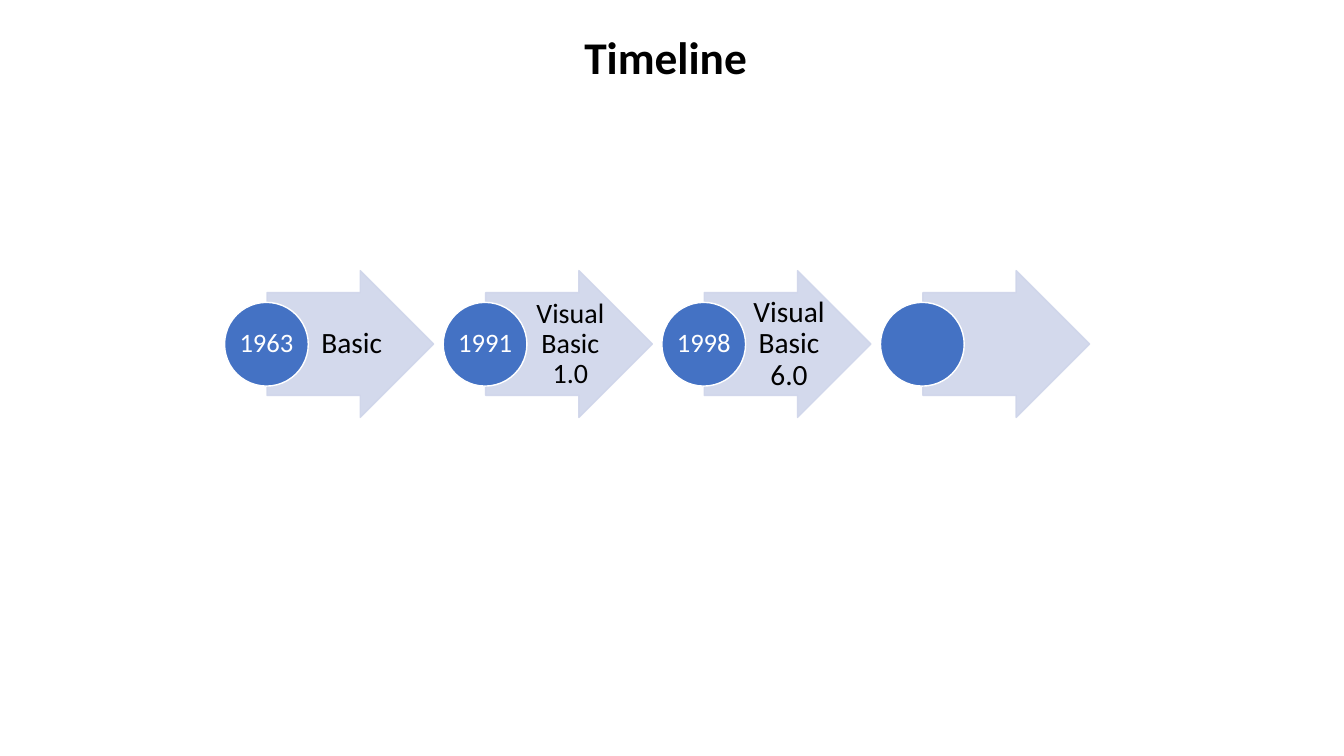
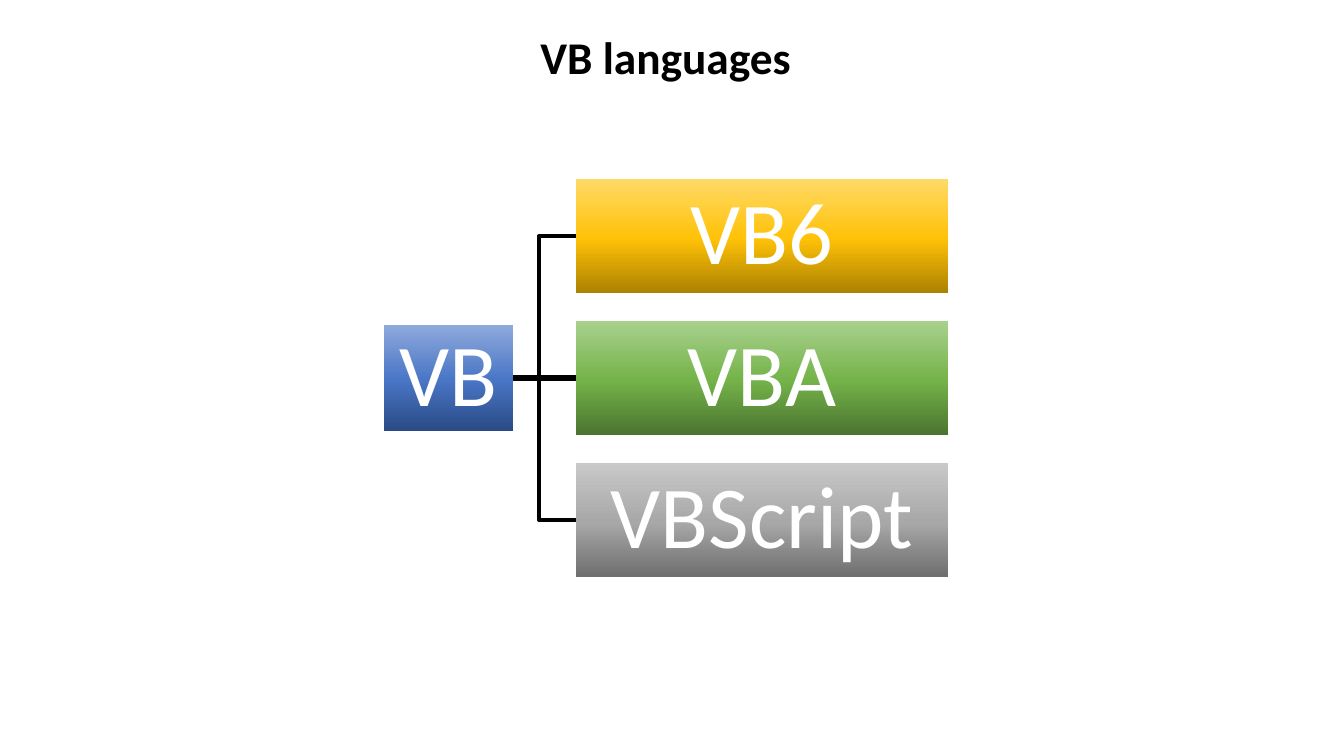
from copy import deepcopy
from dataclasses import dataclass

from lxml import etree
from pptx import Presentation
from pptx import util as u
from pptx.dml.color import RGBColor
from pptx.enum import shapes, text
from pptx.oxml.ns import qn

BLACK = RGBColor(0x00, 0x00, 0x00)
WHITE = RGBColor(0xFF, 0xFF, 0xFF)
YEAR_BLUE = RGBColor(0x44, 0x72, 0xC4)
ARROW_LAVENDER = RGBColor(0xCF, 0xD5, 0xEA)

# Gradients run from the dark bottom edge to the light top edge.
BLUE = (RGBColor(0x2A, 0x4B, 0x86), RGBColor(0x4A, 0x76, 0xC6), RGBColor(0x8F, 0xAA, 0xDC))
GOLD = (RGBColor(0xAB, 0x81, 0x00), RGBColor(0xFF, 0xC2, 0x08), RGBColor(0xFF, 0xD9, 0x66))
GREEN = (RGBColor(0x4B, 0x74, 0x30), RGBColor(0x74, 0xB3, 0x49), RGBColor(0xA9, 0xD1, 0x8E))
GRAY = (RGBColor(0x6F, 0x6F, 0x6F), RGBColor(0xA8, 0xA8, 0xA8), RGBColor(0xC9, 0xC9, 0xC9))
GRADIENT_POSITIONS = (0, 0.48, 1)

FONT = "Calibri"
TITLE_ONLY = 5
TITLE_BOX = {"left": u.Cm(2.17), "top": u.Cm(0.77), "width": u.Cm(29.21), "height": u.Cm(1.47)}
FRAME_FORMAT = {
    "word_wrap": True,
    "auto_size": text.MSO_AUTO_SIZE.NONE,
    "vertical_anchor": text.MSO_ANCHOR.MIDDLE,
}
PARAGRAPH_FORMAT = {"alignment": text.PP_ALIGN.CENTER, "line_spacing": 0.9}
MARGINS = ("margin_left", "margin_top", "margin_right", "margin_bottom")


@dataclass(frozen=True)
class Box:
    """Place and size in centimetres."""
    left: float
    top: float
    width: float
    height: float

    @property
    def lengths(self) -> tuple:
        return tuple(u.Cm(n) for n in (self.left, self.top, self.width, self.height))

    @property
    def middle(self) -> float:
        return self.top + self.height / 2


@dataclass(frozen=True)
class Milestone:
    year: str = ""
    version: str = ""
    version_size: float = 21


@dataclass(frozen=True)
class Language:
    name: str
    gradient: tuple
    line_width: float = 3


MILESTONES = (
    Milestone("1963", "Basic"),
    Milestone("1991", "Visual Basic 1.0", 20),
    Milestone("1998", "Visual Basic 6.0"),
    Milestone(),
)
MILESTONE_LEFT, MILESTONE_PITCH = 5.66, 5.51
ARROW_OFFSET, VERSION_OFFSET = 1.07, 2.14
VERSION_INSETS = (0.15, 0.03, 0.08, 0.03)
YEAR_INSETS = (0.03,) * 4

ROOT = Language("VB", BLUE)
BRANCHES = (
    Language("VB6", GOLD),
    Language("VBA", GREEN, 4.5),
    Language("VBScript", GRAY),
)
ROOT_BOX = Box(9.68, 8.18, 3.25, 2.67)
BRANCH_LEFT, BRANCH_TOP, BRANCH_PITCH = 14.52, 4.52, 3.57
FORK_LEFT, FORK_MIDDLE = 12.65, 9.52
LANGUAGE_INSETS = (0.1,) * 4


def apply_format(target, values: dict) -> None:
    for attribute, value in values.items():
        setattr(target, attribute, value)


def write(frame, wording: str, size: float, color: RGBColor, bold: bool = False) -> None:
    apply_format(frame, FRAME_FORMAT)
    paragraph = frame.paragraphs[0]
    apply_format(paragraph, PARAGRAPH_FORMAT)
    run = paragraph.add_run()
    run.text = wording
    apply_format(run.font, {"name": FONT, "size": u.Pt(size), "bold": bold})
    run.font.color.rgb = color


def write_inset(frame, insets: tuple, wording: str, size: float, color: RGBColor) -> None:
    apply_format(frame, dict(zip(MARGINS, map(u.Cm, insets))))
    write(frame, wording, size, color)


def add_titled_slide(deck, title: str):
    slide = deck.slides.add_slide(deck.slide_layouts[TITLE_ONLY])
    apply_format(slide.shapes.title, TITLE_BOX)
    write(slide.shapes.title.text_frame, title, 32.4, BLACK, bold=True)
    return slide


def add_flat_shape(slide, preset, box: Box):
    shape = slide.shapes.add_shape(preset, *box.lengths)
    shape.shadow.inherit = False
    return shape


def paint(shape, fill: RGBColor, line: RGBColor) -> None:
    shape.fill.solid()
    shape.fill.fore_color.rgb = fill
    shape.line.color.rgb = line
    shape.line.width = u.Pt(1)


def set_opacity(shape, percent: int) -> None:
    """Make both the fill and the outline translucent."""
    for color in shape._element.spPr.iter(qn("a:srgbClr")):
        etree.SubElement(color, qn("a:alpha"), val=str(percent * 1000))


def paint_gradient(shape, colors: tuple) -> None:
    shape.line.fill.background()
    shape.fill.gradient()
    shape.fill.gradient_angle = 90
    stop_list = shape._element.spPr.find(".//" + qn("a:gsLst"))
    stop_list.append(deepcopy(stop_list[0]))
    for stop, position, color in zip(shape.fill.gradient_stops, GRADIENT_POSITIONS, colors):
        stop.position = position
        stop.color.rgb = color


def add_milestone(slide, milestone: Milestone, left: float) -> None:
    arrow = add_flat_shape(slide, shapes.MSO_SHAPE.RIGHT_ARROW,
                           Box(left + ARROW_OFFSET, 6.82, 4.2, 3.7))
    arrow.adjustments[0] = 0.7
    paint(arrow, ARROW_LAVENDER, ARROW_LAVENDER)
    set_opacity(arrow, 90)
    if milestone.version:
        version = slide.shapes.add_textbox(
            *Box(left + VERSION_OFFSET, 7.39, 2.06, 2.57).lengths)
        write_inset(version.text_frame, VERSION_INSETS,
                    milestone.version, milestone.version_size, BLACK)
    year = add_flat_shape(slide, shapes.MSO_SHAPE.OVAL, Box(left, 7.62, 2.11, 2.11))
    paint(year, YEAR_BLUE, WHITE)
    if milestone.year:
        write_inset(year.text_frame, YEAR_INSETS, milestone.year, 19, WHITE)


def add_branch_line(slide, end_height: float, width: float) -> None:
    level = abs(end_height - FORK_MIDDLE) < 0.05
    kind = shapes.MSO_CONNECTOR.STRAIGHT if level else shapes.MSO_CONNECTOR.ELBOW
    end = FORK_MIDDLE if level else end_height
    line = slide.shapes.add_connector(
        kind, *map(u.Cm, (FORK_LEFT, FORK_MIDDLE, BRANCH_LEFT, end)))
    line.line.color.rgb = BLACK
    line.line.width = u.Pt(width)
    etree.SubElement(line._element.spPr, qn("a:effectLst"))


def add_language(slide, language: Language, box: Box) -> None:
    shape = add_flat_shape(slide, shapes.MSO_SHAPE.RECTANGLE, box)
    paint_gradient(shape, language.gradient)
    write_inset(shape.text_frame, LANGUAGE_INSETS, language.name, 63, WHITE)


def build_timeline(deck) -> None:
    slide = add_titled_slide(deck, "Timeline")
    for index, milestone in enumerate(MILESTONES):
        add_milestone(slide, milestone, MILESTONE_LEFT + index * MILESTONE_PITCH)


def build_language_tree(deck) -> None:
    slide = add_titled_slide(deck, "VB languages")
    boxes = [Box(BRANCH_LEFT, BRANCH_TOP + index * BRANCH_PITCH, 9.37, 2.87)
             for index in range(len(BRANCHES))]
    for language, box in zip(reversed(BRANCHES), reversed(boxes)):
        add_branch_line(slide, box.middle, language.line_width)
    for language, box in zip((ROOT, *BRANCHES), (ROOT_BOX, *boxes)):
        add_language(slide, language, box)


def main() -> None:
    deck = Presentation()
    apply_format(deck, {"slide_width": u.Cm(33.87), "slide_height": u.Cm(19.05)})
    build_timeline(deck)
    build_language_tree(deck)
    deck.save("out.pptx")


if __name__ == "__main__":
    main()
